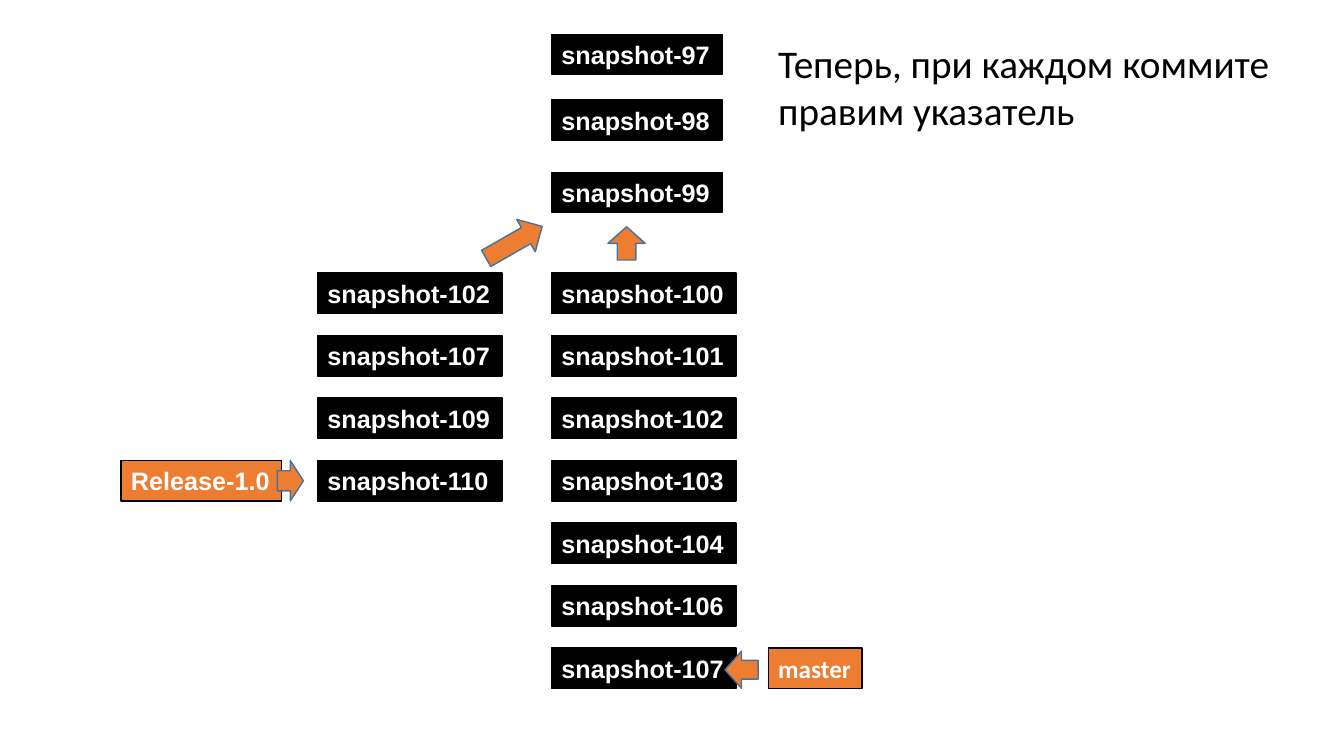
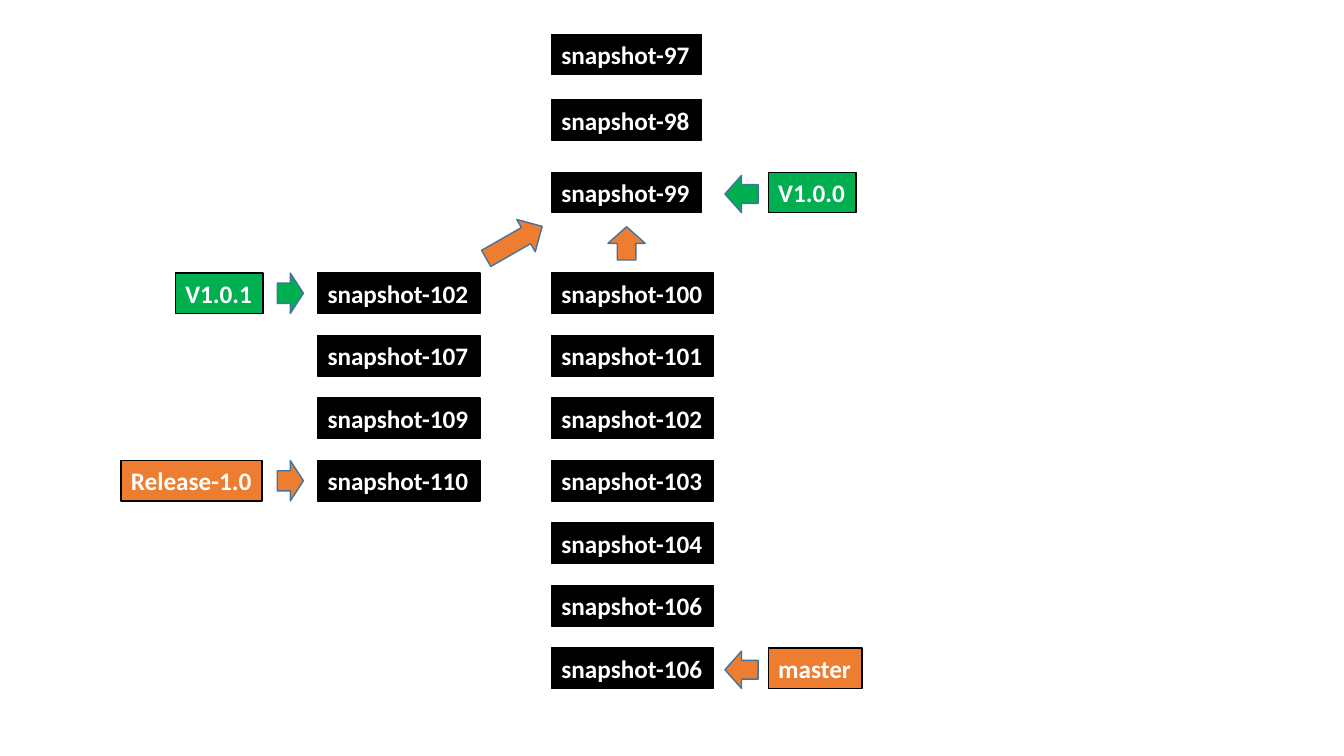
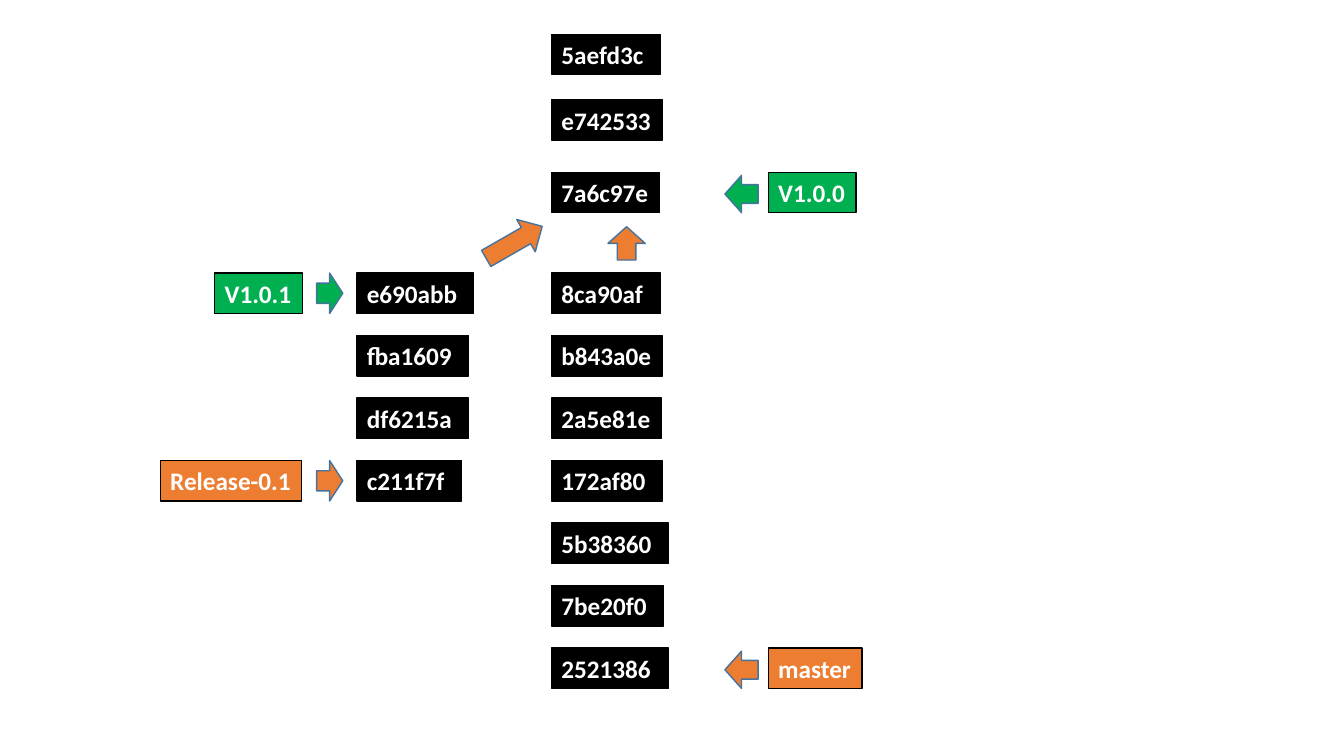
from dataclasses import dataclass

from pptx import Presentation
from pptx.dml.color import RGBColor
from pptx.enum.shapes import MSO_SHAPE as Preset
from pptx.enum.text import MSO_ANCHOR as Anchor, MSO_AUTO_SIZE as AutoSize, PP_ALIGN as Align
from pptx.util import Inches, Pt

BLACK = RGBColor(0x00, 0x00, 0x00)
WHITE = RGBColor(0xFF, 0xFF, 0xFF)
ORANGE = RGBColor(0xED, 0x7D, 0x31)
GREEN = RGBColor(0x00, 0xB0, 0x50)
ARROW_EDGE = RGBColor(0x43, 0x73, 0x9E)

BODY_FONT = "Calibri"
ROW_STEP = 0.62
ROWS = [0.34, 0.99, 1.71] + [2.71 + ROW_STEP * step for step in range(7)]
ROW_HEIGHT = 0.4
FORK_ROW = 3
TRUNK_COL = 5.47
BRANCH_COL = 3.15
SHIFTED_BRANCH_COL = 3.54
POINTER_COL = 7.19
TAG_COL = 7.62


@dataclass
class Tag:
    text: str
    width: float
    color: RGBColor
    row: int
    reach: float = 0
    font: str = BODY_FONT


MASTER = Tag("master", 0.93, ORANGE, 9)
FIRST_VERSION = Tag("V1.0.0", 0.87, GREEN, 2)
PATCH_VERSION = Tag("V1.0.1", 0.87, GREEN, 3, reach=1.41)


def release(number, width=1.4, font=BODY_FONT):
    return Tag(f"Release-{number}", width, ORANGE, 6, reach=1.95, font=font)


def snapshots(numbers, short_width, long_width):
    return [(f"snapshot-{number}", short_width if number < 100 else long_width)
            for number in numbers]


def add_preset(slide, preset, left, top, width, height, fill, edge):
    shape = slide.shapes.add_shape(
        preset, Inches(left), Inches(top), Inches(width), Inches(height))
    shape.shadow.inherit = False
    shape.fill.solid()
    shape.fill.fore_color.rgb = fill
    shape.line.color.rgb = edge
    shape.line.width = Pt(1)
    return shape


def write_lines(frame, lines, size, color, font, bold):
    frame.word_wrap = False
    frame.auto_size = AutoSize.SHAPE_TO_FIT_TEXT
    for index, line in enumerate(lines):
        paragraph = frame.add_paragraph() if index else frame.paragraphs[0]
        paragraph.alignment = Align.LEFT
        run = paragraph.add_run()
        run.text = line
        run.font.size = Pt(size)
        run.font.name = font
        run.font.bold = bold
        run.font.color.rgb = color


def add_label(slide, text, left, top, width, fill, font):
    label = add_preset(slide, Preset.RECTANGLE, left, top, width, ROW_HEIGHT, fill, BLACK)
    label.text_frame.vertical_anchor = Anchor.MIDDLE
    write_lines(label.text_frame, [text], 18, WHITE, font, True)


def add_arrow(slide, preset, left, top, width, height, fill=ORANGE):
    return add_preset(slide, preset, left, top, width, height, fill, ARROW_EDGE)


def add_commits(slide, commits, left, first_row, font):
    for (text, width), top in zip(commits, ROWS[first_row:]):
        add_label(slide, text, left, top, width, BLACK, font)


def add_fork(slide):
    add_arrow(slide, Preset.UP_ARROW, 6.03, 2.25, 0.37, 0.33)
    diagonal = add_arrow(slide, Preset.RIGHT_ARROW, 4.78, 2.22, 0.64, 0.37)
    diagonal.rotation = -29.8


def add_trunk_tag(slide, tag):
    top = ROWS[tag.row]
    add_label(slide, tag.text, TAG_COL, top, tag.width, tag.color, tag.font)
    add_arrow(slide, Preset.LEFT_ARROW, POINTER_COL, top + 0.03, 0.33, 0.37, tag.color)


def add_branch_tag(slide, tag, branch_col):
    top = ROWS[tag.row]
    add_label(slide, tag.text, branch_col - tag.reach, top, tag.width, tag.color, tag.font)
    add_arrow(slide, Preset.RIGHT_ARROW, branch_col - 0.4, top, 0.26, ROW_HEIGHT, tag.color)


def add_history(deck, trunk, branch, trunk_tags, branch_tags,
                branch_col=BRANCH_COL, font=BODY_FONT):
    slide = deck.slides.add_slide(deck.slide_layouts[6])
    add_commits(slide, trunk, TRUNK_COL, 0, font)
    add_commits(slide, branch, branch_col, FORK_ROW, font)
    add_fork(slide)
    for tag in trunk_tags:
        add_trunk_tag(slide, tag)
    for tag in branch_tags:
        add_branch_tag(slide, tag, branch_col)
    return slide


def add_caption(slide, lines):
    caption = slide.shapes.add_textbox(
        Inches(TAG_COL), Inches(ROWS[0]), Inches(5.12), Inches(1.04))
    write_lines(caption.text_frame, lines, 28, BLACK, BODY_FONT, False)


def main():
    deck = Presentation()
    deck.slide_width, deck.slide_height = Inches(13.33), Inches(7.5)

    shared_trunk = [97, 98, 99, 100, 101, 102, 103, 104, 106]
    branch = [102, 107, 109, 110]

    moving_pointer = add_history(
        deck,
        snapshots(shared_trunk + [107], 1.69, 1.83),
        snapshots(branch, 1.69, 1.83),
        [MASTER], [release("1.0", 1.59, "Arial")], font="Arial")
    add_caption(moving_pointer, ["Теперь, при каждом коммите", "правим указатель"])

    add_history(
        deck,
        snapshots(shared_trunk + [106], 1.49, 1.61),
        snapshots(branch, 1.49, 1.61),
        [MASTER, FIRST_VERSION], [release("1.0"), PATCH_VERSION])

    trunk_hashes = [
        ("5aefd3c", 1.08), ("e742533", 1.1), ("7a6c97e", 1.07), ("8ca90af", 1.08),
        ("b843a0e", 1.1), ("2a5e81e", 1.09), ("172af80", 1.1), ("5b38360", 1.16),
        ("7be20f0", 1.11), ("2521386", 1.16)]
    branch_hashes = [
        ("e690abb", 1.16), ("fba1609", 1.11), ("df6215a", 1.11), ("c211f7f", 1.04)]
    add_history(
        deck, trunk_hashes, branch_hashes,
        [MASTER, FIRST_VERSION], [release("0.1"), PATCH_VERSION],
        branch_col=SHIFTED_BRANCH_COL)

    deck.save("out.pptx")


if __name__ == "__main__":
    main()
